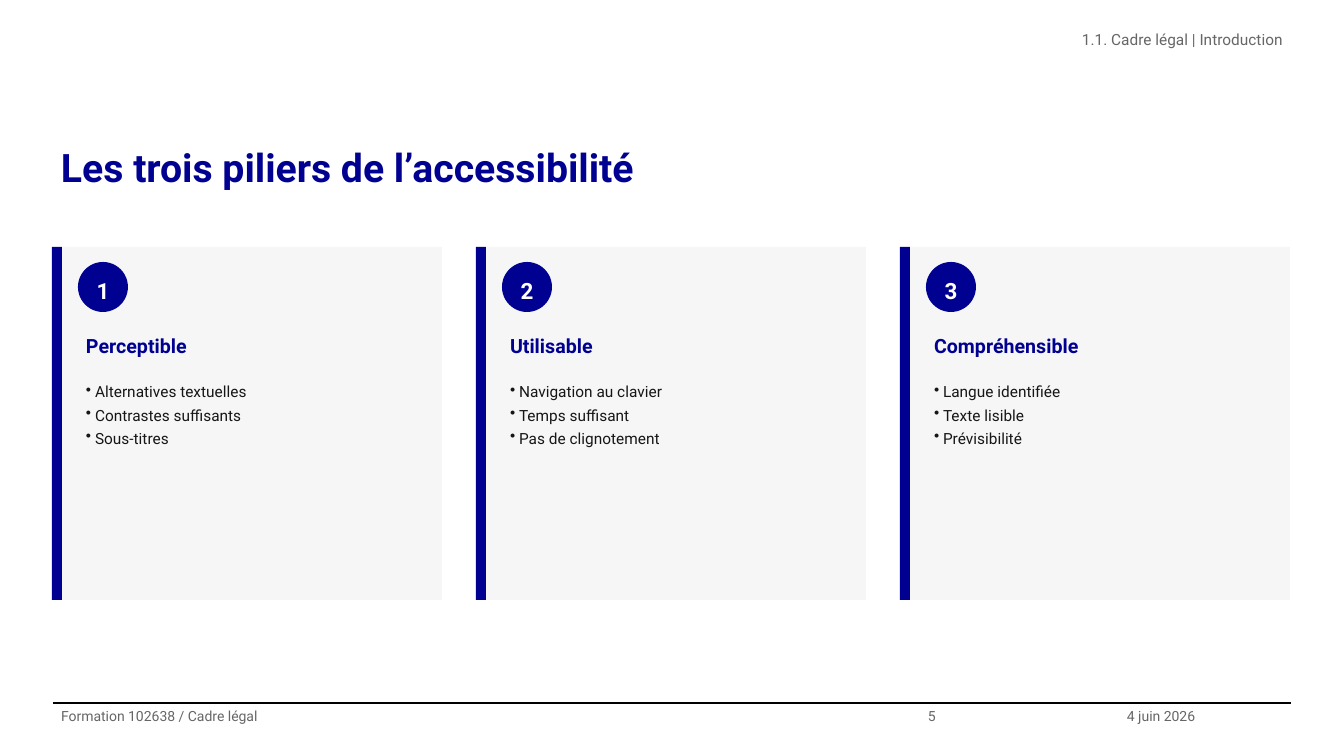
from lxml import etree
from pptx import Presentation
from pptx.dml.color import RGBColor
from pptx.enum.shapes import MSO_CONNECTOR, MSO_SHAPE
from pptx.enum.text import MSO_ANCHOR, PP_ALIGN
from pptx.oxml.ns import qn
from pptx.util import Emu, Pt

RECT, OVAL = MSO_SHAPE.RECTANGLE, MSO_SHAPE.OVAL
STRAIGHT = MSO_CONNECTOR.STRAIGHT
LEFT, CENTER, RIGHT = PP_ALIGN.LEFT, PP_ALIGN.CENTER, PP_ALIGN.RIGHT
TOP, MIDDLE = MSO_ANCHOR.TOP, MSO_ANCHOR.MIDDLE

EMU_PER_PX = 914400 / 100.8
COLORS = {"blue": "000091", "card": "F6F6F6", "ink": "161616",
          "grey": "666666", "white": "FFFFFF", "black": "000000"}

# Text styles: font attributes, plus a colour name
STYLES = {
    "title": {"size": Pt(28), "bold": True, "color": "blue"},
    "heading": {"size": Pt(14), "bold": True, "color": "blue"},
    "number": {"size": Pt(16), "bold": True, "color": "white"},
    "body": {"size": Pt(11), "bold": False, "color": "ink"},
    "header": {"size": Pt(11), "bold": False, "color": "grey"},
    "footer": {"size": Pt(10), "bold": False, "color": "grey"},
}

# Card grid
CARD_LEFT, CARD_TOP, CARD_H, CARD_PITCH = 52, 247, 353, 424
BAR_W, PANEL_W, PAD, BADGE = 10, 380, 16, 50
PILLARS = [
    ("Perceptible",
     ["Alternatives textuelles", "Contrastes suffisants", "Sous-titres"]),
    ("Utilisable",
     ["Navigation au clavier", "Temps suffisant", "Pas de clignotement"]),
    ("Compréhensible",
     ["Langue identifiée", "Texte lisible", "Prévisibilité"]),
]


def px(n):
    return Emu(round(n * EMU_PER_PX))


def rgb(name):
    return RGBColor.from_string(COLORS[name])


def add_bullet(p, indent):
    pPr = p._p.get_or_add_pPr()
    pPr.set("marL", str(px(indent)))
    pPr.set("indent", str(-px(indent)))
    etree.SubElement(pPr, qn("a:buChar")).set("char", "•")


def write(s, lines, style, align=LEFT, anchor=TOP, inset_y=0, bullets=False):
    tf = s.text_frame
    frame = {"word_wrap": True, "vertical_anchor": anchor,
             "margin_left": px(8), "margin_right": px(8),
             "margin_top": px(inset_y), "margin_bottom": px(inset_y)}
    for name, value in frame.items():
        setattr(tf, name, value)
    for i, line in enumerate(lines):
        p = tf.add_paragraph() if i else tf.paragraphs[0]
        if bullets:
            add_bullet(p, 9)
        p.alignment, p.line_spacing = align, 1.25
        r = p.add_run()
        r.text = line
        r.font.name = "Roboto"
        for name, value in STYLES[style].items():
            if name == "color":
                r.font.color.rgb = rgb(value)
            else:
                setattr(r.font, name, value)


def add_text(slide, box, lines, style, **options):
    s = slide.shapes.add_textbox(*map(px, box))
    write(s, lines, style, **options)


def add_block(slide, kind, box, color):
    s = slide.shapes.add_shape(kind, *map(px, box))
    s.shadow.inherit = False
    s.fill.solid()
    s.fill.fore_color.rgb = rgb(color)
    s.line.fill.background()
    return s


def add_rule(slide, x1, x2, y):
    s = slide.shapes.add_connector(STRAIGHT, px(x1), px(y), px(x2), px(y))
    s.line.color.rgb = rgb("black")
    s.line.width = Pt(0.8)
    etree.SubElement(s._element.spPr, qn("a:effectLst"))


def add_card(slide, index, heading, points):
    x = CARD_LEFT + index * CARD_PITCH
    panel_x = x + BAR_W
    inner_x, inner_w = panel_x + PAD, PANEL_W - 2 * PAD
    add_block(slide, RECT, (panel_x, CARD_TOP, PANEL_W, CARD_H), "card")
    add_block(slide, RECT, (x, CARD_TOP, BAR_W, CARD_H), "blue")
    badge = add_block(slide, OVAL, (inner_x, CARD_TOP + 15, BADGE, BADGE),
                      "blue")
    write(badge, [str(index + 1)], "number", align=CENTER, anchor=MIDDLE,
          inset_y=5)
    add_text(slide, (inner_x, CARD_TOP + 76, inner_w, 45), [heading],
             "heading", inset_y=5)
    add_text(slide, (inner_x, CARD_TOP + 126, inner_w, 212), points,
             "body", inset_y=5, bullets=True)


def main():
    prs = Presentation()
    prs.slide_width, prs.slide_height = px(1344), px(756)
    slide = prs.slides.add_slide(prs.slide_layouts[6])

    # Header and title
    add_text(slide, (487, 26, 804, 52), ["1.1. Cadre légal | Introduction"],
             "header", align=RIGHT)
    add_text(slide, (53, 132, 1238, 106),
             ["Les trois piliers de l’accessibilité"], "title")

    # Pillars
    for i, (heading, points) in enumerate(PILLARS):
        add_card(slide, i, heading, points)

    # Footer
    add_rule(slide, 53, 1291, 703)
    for x, w, text in [(53, 867, "Formation 102638 / Cadre légal"),
                       (920, 199, "5"), (1119, 172, "4 juin 2026")]:
        add_text(slide, (x, 703, w, 52), [text], "footer")

    prs.save("out.pptx")


if __name__ == "__main__":
    main()
